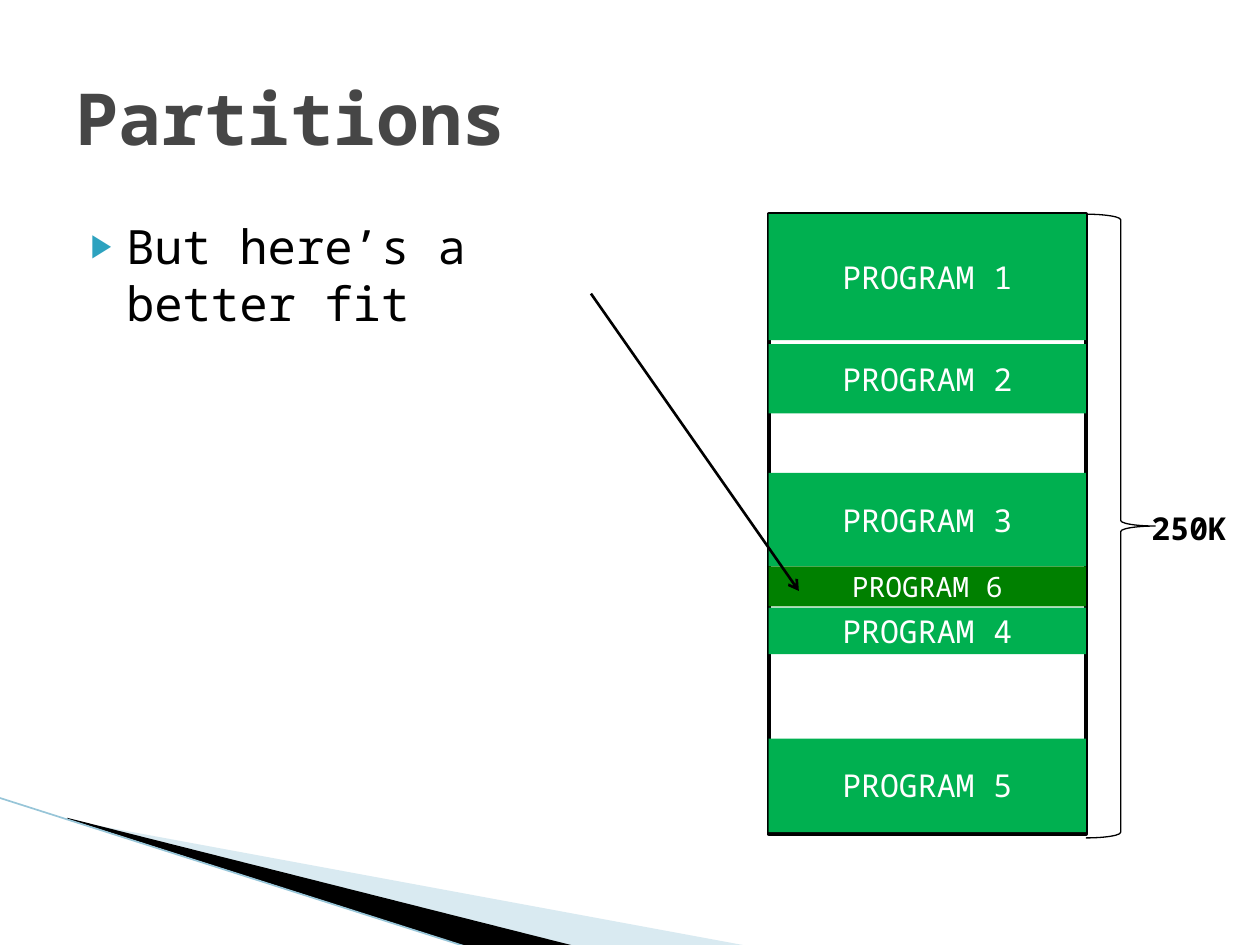
from lxml import etree
from pptx import Presentation
from pptx.dml.color import RGBColor
from pptx.enum.shapes import MSO_CONNECTOR, MSO_SHAPE
from pptx.enum.text import MSO_ANCHOR, MSO_AUTO_SIZE, PP_ALIGN
from pptx.oxml.ns import qn
from pptx.util import Pt

RECTANGLE, BRACE = MSO_SHAPE.RECTANGLE, MSO_SHAPE.RIGHT_BRACE
STRAIGHT = MSO_CONNECTOR.STRAIGHT
LEFT, CENTER = PP_ALIGN.LEFT, PP_ALIGN.CENTER
TOP, MIDDLE = MSO_ANCHOR.TOP, MSO_ANCHOR.MIDDLE
NO_AUTOFIT = MSO_AUTO_SIZE.NONE

FONT = "Noto Sans Mono"
BLACK = RGBColor(0x00, 0x00, 0x00)
WHITE = RGBColor(0xFF, 0xFF, 0xFF)
TITLE_GRAY = RGBColor(0x46, 0x46, 0x46)
BULLET_BLUE = RGBColor(0x2D, 0xA2, 0xBF)
SWEEP_BLUE = RGBColor(0xA0, 0xCB, 0xDC)
EDGE_BLUE = RGBColor(0x97, 0xC5, 0xD8)
LOADED_GREEN = RGBColor(0x00, 0xB0, 0x50)
NEW_GREEN = RGBColor(0x00, 0x80, 0x00)

PROGRAMS = [
    ("PROGRAM 1", 0, 72, LOADED_GREEN, 18),
    ("PROGRAM 2", 74.2, 39.6, LOADED_GREEN, 18),
    ("PROGRAM 3", 147.8, 53.4, LOADED_GREEN, 18),
    ("PROGRAM 6", 201.2, 23, NEW_GREEN, 16),
    ("PROGRAM 4", 224.9, 26.6, LOADED_GREEN, 18),
    ("PROGRAM 5", 299.7, 53.4, LOADED_GREEN, 18),
]


def write_text(shape, text, size, color, bold=False, align=LEFT, anchor=MIDDLE, wrap=True):
    """Fill a shape with one formatted paragraph and return the paragraph."""
    frame = shape.text_frame
    frame.text = text
    frame.word_wrap = wrap
    frame.auto_size = NO_AUTOFIT
    frame.vertical_anchor = anchor
    paragraph = frame.paragraphs[0]
    paragraph.alignment = align
    paragraph.space_before = Pt(0)
    font = paragraph.runs[0].font
    font.name, font.size, font.bold = FONT, Pt(size), bold
    font.color.rgb = color
    return paragraph


def place(shape, left, top, width, height):
    """Move and size a placeholder."""
    shape.left, shape.top = Pt(left), Pt(top)
    shape.width, shape.height = Pt(width), Pt(height)


def add_outline(slide, preset, box, weight):
    """Add an unfilled preset shape with a black line."""
    outline = slide.shapes.add_shape(preset, *map(Pt, box))
    outline.shadow.inherit = False
    outline.fill.background()
    outline.line.color.rgb = BLACK
    outline.line.width = Pt(weight)
    return outline


def add_line(slide, start, end, color, weight):
    """Add a straight line without a shadow."""
    line = slide.shapes.add_connector(STRAIGHT, *map(Pt, start + end))
    line.line.color.rgb = color
    line.line.width = Pt(weight)
    etree.SubElement(line._element.spPr, qn("a:effectLst"))
    return line


def add_wedge(slide, points, color):
    """Add a filled outline without a line."""
    corners = [(Pt(x), Pt(y)) for x, y in points]
    builder = slide.shapes.build_freeform(*corners[0])
    builder.add_line_segments(corners[1:])
    wedge = builder.convert_to_shape()
    wedge.shadow.inherit = False
    wedge.fill.solid()
    wedge.fill.fore_color.rgb = color
    wedge.line.fill.background()
    return wedge


def add_sweep(slide, left, top, width, height):
    """Draw the corner decoration inside its box."""
    bottom = top + height
    pale = add_wedge(slide, [(left + 40.3, top + 13), (left + width, bottom),
                             (left + 329, bottom), (left + 40.3, top + 12.2)], SWEEP_BLUE)
    color = pale.fill._xPr.find(".//" + qn("a:srgbClr"))
    etree.SubElement(color, qn("a:alpha"), val="40000")
    add_wedge(slide, [(left + 39, top + 11.5), (left + 329.7, bottom),
                      (left + 268.5, bottom + 0.5), (left + 39.5, top + 12.2)], BLACK)
    add_line(slide, (left, top), (left + 267.8, bottom + 0.5), EDGE_BLUE, 0.95)


def add_bullet(paragraph):
    """Give a paragraph a blue arrowhead bullet and a hanging indent."""
    properties = paragraph._p.get_or_add_pPr()
    properties.set("marL", str(Pt(28.8)))
    properties.set("indent", str(-Pt(20.2)))
    color = etree.SubElement(properties, qn("a:buClr"))
    etree.SubElement(color, qn("a:srgbClr"), val=str(BULLET_BLUE))
    etree.SubElement(properties, qn("a:buSzPct"), val="68000")
    etree.SubElement(properties, qn("a:buChar"), char="▶")


def add_heading(slide, left, top, width, height):
    """Place the slide title."""
    title = slide.shapes.title
    place(title, left, top, width, height)
    write_text(title, "Partitions", 41, TITLE_GRAY, bold=True)


def add_remark(slide, left, top, width, height):
    """Place the bulleted remark."""
    body = slide.placeholders[1]
    place(body, left, top, width, height)
    remark = write_text(body, "But here’s a better fit", 27, BLACK, anchor=TOP)
    body.text_frame.margin_top = Pt(7.6)
    add_bullet(remark)


def add_memory(slide, left, top, width, height):
    """Draw the memory column with its programs, size brace and pointer."""
    add_outline(slide, RECTANGLE, (left, top, width, height), 2.25)
    brace = add_outline(slide, BRACE, (left + width, top, 39.6, height + 2.2), 0.75)
    brace.adjustments[0], brace.adjustments[1] = 0.08, 0.5
    for name, offset, extent, color, size in PROGRAMS:
        program = slide.shapes.add_shape(RECTANGLE, Pt(left), Pt(top + offset), Pt(width), Pt(extent))
        program.shadow.inherit = False
        program.fill.solid()
        program.fill.fore_color.rgb = color
        program.line.fill.background()
        write_text(program, name, size, WHITE, align=CENTER)
    capacity = slide.shapes.add_textbox(Pt(left + 211.7), Pt(top + 164.9), Pt(61.2), Pt(28.8))
    write_text(capacity, "250K", 18, BLACK, bold=True, anchor=TOP, wrap=False)
    pointer = add_line(slide, (left - 101.5, top + 45.4), (left + 17.3, top + 215.3), BLACK, 1.5)
    etree.SubElement(pointer.line._get_or_add_ln(), qn("a:tailEnd"), type="arrow")


def main():
    """Build and save the slide."""
    presentation = Presentation()
    presentation.slide_width, presentation.slide_height = Pt(720), Pt(540)
    slide = presentation.slides.add_slide(presentation.slide_layouts[1])
    add_sweep(slide, -0.7, 455.8, 429.1, 84.9)
    add_heading(slide, 36, 21.6, 648, 90)
    add_remark(slide, 36, 116.6, 324, 356.4)
    add_memory(slide, 439.2, 122.4, 181.4, 354.2)
    presentation.save("out.pptx")


if __name__ == "__main__":
    main()
